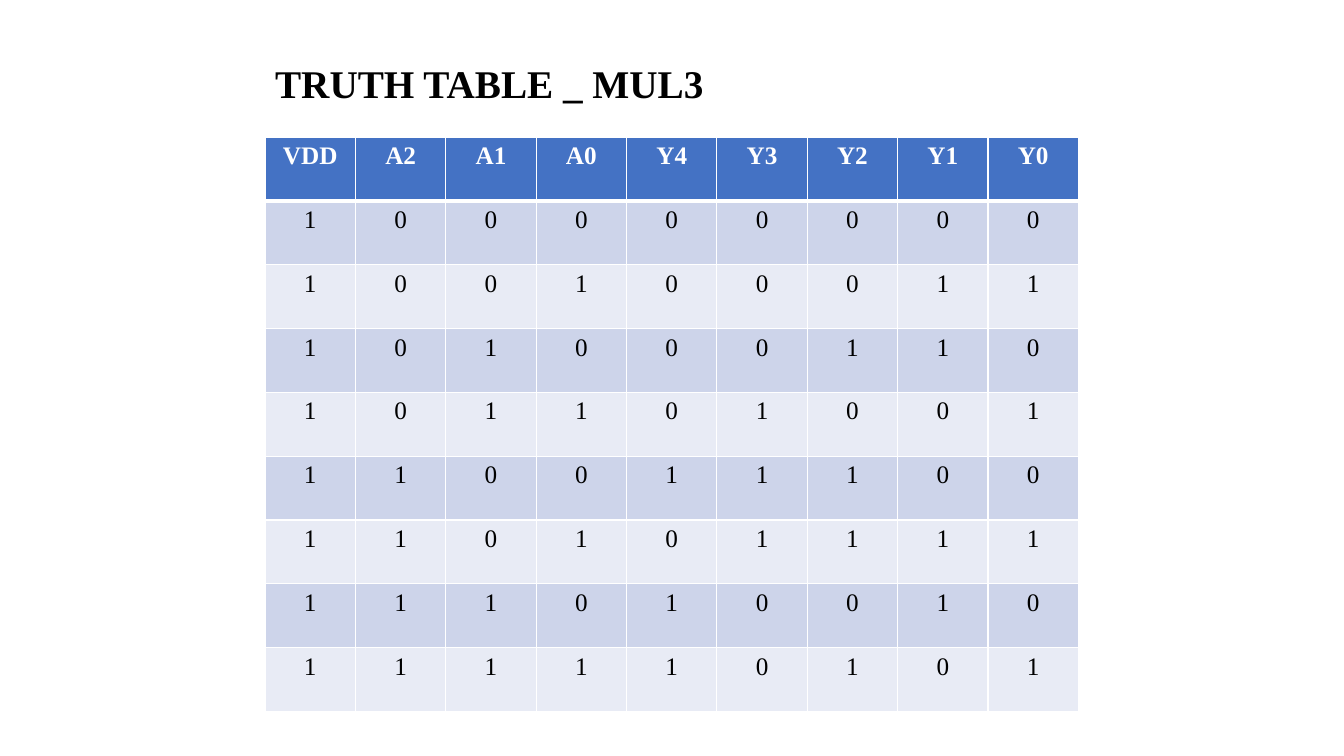
from dataclasses import dataclass

from lxml.etree import SubElement
from pptx import Presentation
from pptx.dml.color import RGBColor
from pptx.enum.text import MSO_ANCHOR, MSO_AUTO_SIZE, PP_ALIGN
from pptx.oxml.ns import qn
from pptx.util import Pt


@dataclass(frozen=True)
class Theme:
    font: str = "Times New Roman"
    title_size: int = 28
    cell_size: int = 18
    ink: str = "000000"
    paper: str = "FFFFFF"
    header: str = "4472C4"
    bands: tuple = ("CDD4EA", "E8EBF5")
    thin: int = 1
    thick: int = 3


THEME = Theme()
LEFT, WIDTH = 189.36, 581.04
SIGNALS = ("VDD", "A2", "A1", "A0", "Y4", "Y3", "Y2", "Y1", "Y0")
STATES = (
    "100000000",
    "100100011",
    "101000110",
    "101101001",
    "110011100",
    "110101111",
    "111010010",
    "111110101",
)


def add_run(paragraph, words, size, color, bold):
    run = paragraph.add_run()
    run.text = words
    run.font.name = THEME.font
    run.font.size = Pt(size)
    run.font.bold = bold
    run.font.color.rgb = RGBColor.from_string(color)


def add_heading(slide, words):
    heading = slide.shapes.title
    heading.left, heading.top = Pt(LEFT), Pt(38.88)
    heading.width, heading.height = Pt(WIDTH), Pt(41.2)
    frame = heading.text_frame
    frame.word_wrap = True
    frame.auto_size = MSO_AUTO_SIZE.SHAPE_TO_FIT_TEXT
    frame.vertical_anchor = MSO_ANCHOR.TOP
    paragraph = frame.paragraphs[0]
    paragraph.alignment = PP_ALIGN.LEFT
    add_run(paragraph, words, THEME.title_size, THEME.ink, True)


def set_borders(cell, top, bottom):
    properties = cell._tc.get_or_add_tcPr()
    widths = {"a:lnL": THEME.thin, "a:lnR": THEME.thin, "a:lnT": top, "a:lnB": bottom}
    for edge, width in widths.items():
        line = SubElement(properties, qn(edge), w=str(Pt(width)))
        fill = SubElement(line, qn("a:solidFill"))
        SubElement(fill, qn("a:srgbClr"), val=THEME.paper)


def fill_row(row, values, fill, color, bold=False, top=THEME.thin, bottom=THEME.thin):
    for cell, value in zip(row.cells, values):
        set_borders(cell, top, bottom)
        cell.fill.solid()
        cell.fill.fore_color.rgb = RGBColor.from_string(fill)
        paragraph = cell.text_frame.paragraphs[0]
        paragraph.alignment = PP_ALIGN.CENTER
        add_run(paragraph, value, THEME.cell_size, color, bold)


def add_truth_table(slide, signals, states):
    row_height = 45.6
    row_count = len(states) + 1
    table = slide.shapes.add_table(
        row_count, len(signals), Pt(LEFT), Pt(97.92), Pt(WIDTH), Pt(row_height * row_count)
    ).table
    for column in table.columns:
        column.width = Pt(WIDTH / len(signals))
    for row in table.rows:
        row.height = Pt(row_height)
    fill_row(table.rows[0], signals, THEME.header, THEME.paper, True, bottom=THEME.thick)
    for index, state in enumerate(states):
        top = THEME.thin if index else THEME.thick
        fill_row(table.rows[index + 1], state, THEME.bands[index % 2], THEME.ink, top=top)


def main():
    presentation = Presentation()
    presentation.slide_width, presentation.slide_height = Pt(960), Pt(540)
    slide = presentation.slides.add_slide(presentation.slide_layouts.get_by_name("Title Only"))
    add_heading(slide, "TRUTH TABLE _ MUL3")
    add_truth_table(slide, SIGNALS, STATES)
    presentation.save("out.pptx")


if __name__ == "__main__":
    main()
